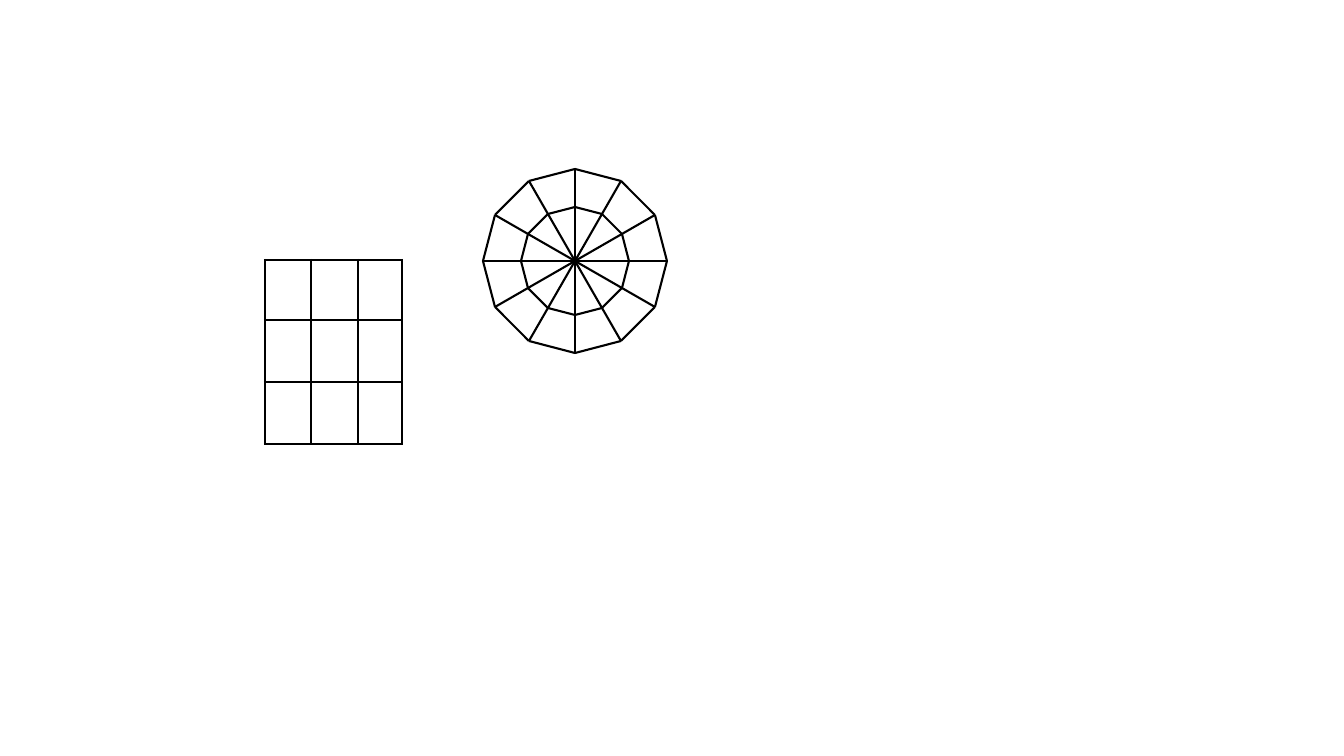
"""Build a slide with a ruled grid and a twelve-spoke wheel."""
from dataclasses import dataclass
from itertools import pairwise
from math import cos, radians, sin

from pptx import Presentation
from pptx.dml.color import RGBColor
from pptx.enum.shapes import MSO_CONNECTOR
from pptx.oxml.ns import qn
from pptx.shapes.group import GroupShape
from pptx.util import Emu, Pt

STRAIGHT = MSO_CONNECTOR.STRAIGHT
EMU_PER_PX = 12192000 / 1344
SLIDE_W, SLIDE_H = 1344, 756
BLANK_LAYOUT = 6

Point = tuple[int, int]


@dataclass(frozen=True)
class Theme:
    """Colour and line width of the drawing."""
    ink: RGBColor = RGBColor(0, 0, 0)
    stroke: Pt = Pt(1.5)


@dataclass(frozen=True)
class Grid:
    """Positions of the column and row rules, and how far they overrun."""
    columns: tuple[int, ...]
    rows: tuple[int, ...]
    overrun: int


@dataclass(frozen=True)
class Wheel:
    """Centre, ring radii and number of sectors."""
    center: Point
    radii: tuple[int, ...]
    sectors: int


THEME = Theme()
GRID = Grid(columns=(265, 311, 358, 402), rows=(260, 320, 382, 444), overrun=1)
WHEEL = Wheel(center=(575, 261), radii=(92, 54), sectors=12)


def px(value: int) -> Emu:
    """Turn pixels into EMU."""
    return Emu(round(value * EMU_PER_PX))


def add_line(group: GroupShape, start: Point, end: Point) -> None:
    """Draw one straight line in a group."""
    line = group.shapes.add_connector(STRAIGHT, *map(px, start + end))
    line.line.color.rgb = THEME.ink
    line.line.width = THEME.stroke
    sp_pr = line._element.spPr
    sp_pr.append(sp_pr.makeelement(qn("a:effectLst"), {}))


def draw_grid(group: GroupShape, grid: Grid) -> None:
    """Draw the column rules, then the row rules."""
    left, right = grid.columns[0] - grid.overrun, grid.columns[-1] + grid.overrun
    top, bottom = grid.rows[0] - grid.overrun, grid.rows[-1] + grid.overrun
    for x in grid.columns:
        add_line(group, (x, top), (x, bottom))
    for y in grid.rows:
        add_line(group, (left, y), (right, y))


def ring_points(wheel: Wheel, radius: int) -> list[Point]:
    """Return the corners of one ring, clockwise from the right."""
    cx, cy = wheel.center
    angles = [radians(360 * i / wheel.sectors) for i in range(wheel.sectors)]
    return [(round(cx + radius * cos(a)), round(cy + radius * sin(a)))
            for a in angles]


def draw_wheel(group: GroupShape, wheel: Wheel) -> None:
    """Draw the diameters, then the sides of each ring."""
    rim = ring_points(wheel, max(wheel.radii))
    half = wheel.sectors // 2
    for start, end in zip(rim[:half], rim[half:]):
        add_line(group, start, end)
    for radius in wheel.radii:
        corners = ring_points(wheel, radius)
        for start, end in pairwise(corners + corners[:1]):
            add_line(group, start, end)


def main() -> None:
    """Build and save the slide."""
    prs = Presentation()
    prs.slide_width, prs.slide_height = px(SLIDE_W), px(SLIDE_H)
    s = prs.slides.add_slide(prs.slide_layouts[BLANK_LAYOUT])
    draw_grid(s.shapes.add_group_shape(), GRID)
    draw_wheel(s.shapes.add_group_shape(), WHEEL)
    prs.save("out.pptx")


main()
